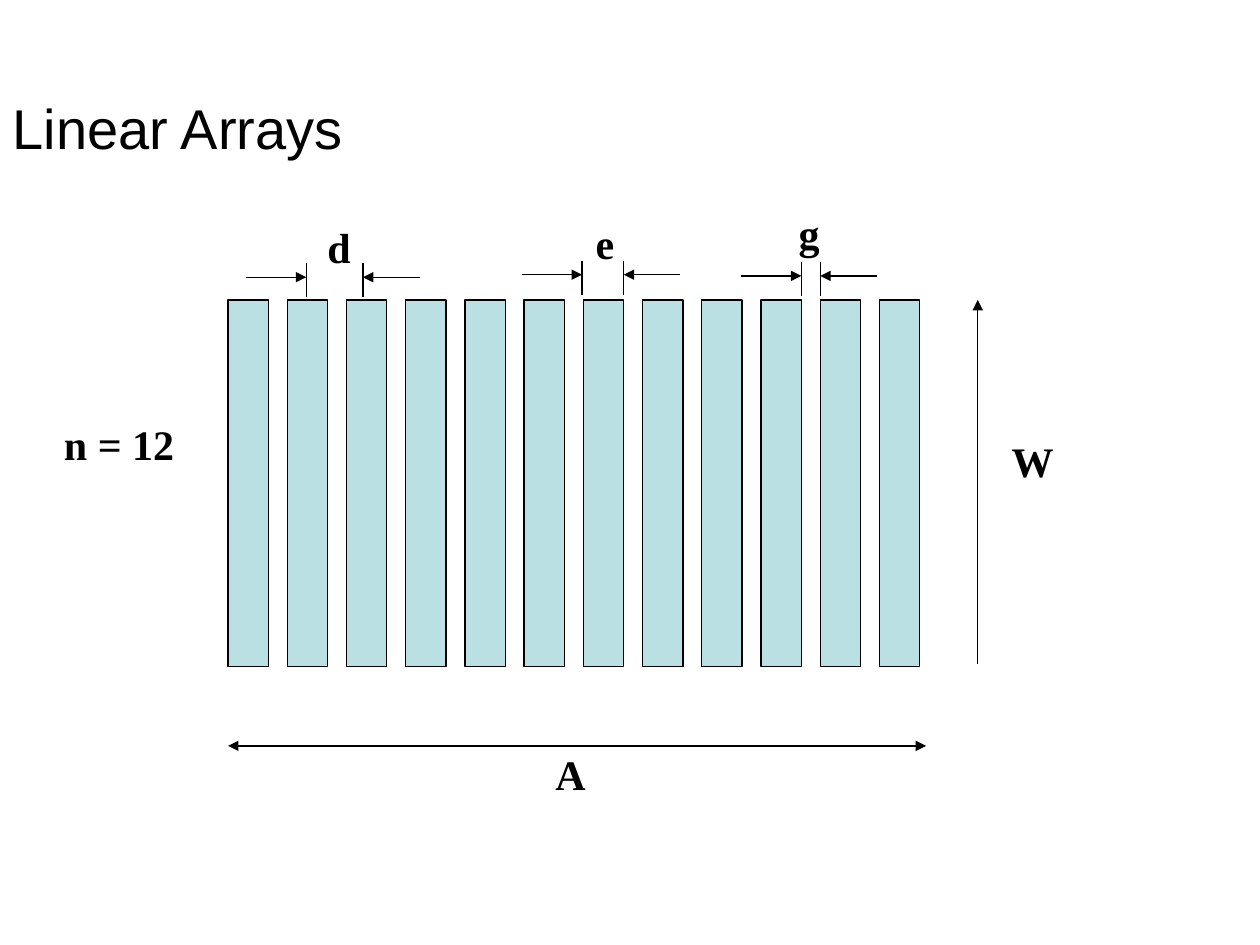
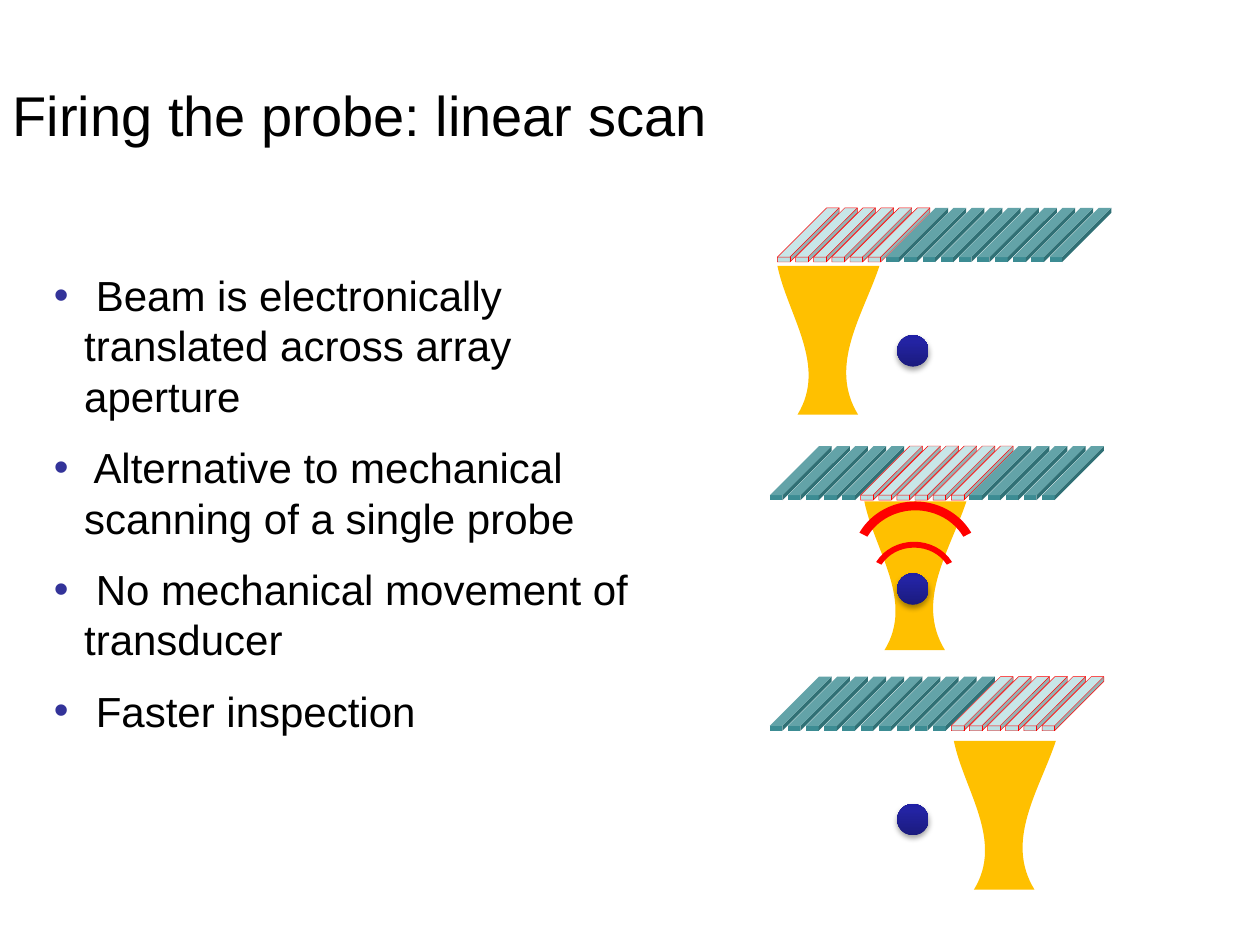
from copy import deepcopy
from dataclasses import dataclass

from lxml import etree
from pptx import Presentation
from pptx.dml.color import RGBColor
from pptx.enum.shapes import MSO_CONNECTOR, MSO_SHAPE
from pptx.enum.text import MSO_ANCHOR, MSO_AUTO_SIZE, PP_ALIGN
from pptx.oxml import parse_xml
from pptx.oxml.ns import nsdecls, qn
from pptx.util import Inches, Pt

STRAIGHT = MSO_CONNECTOR.STRAIGHT
RECTANGLE = MSO_SHAPE.RECTANGLE
CUBE = MSO_SHAPE.CUBE
BALL = MSO_SHAPE.FLOWCHART_CONNECTOR
BLOCK_ARC = MSO_SHAPE.BLOCK_ARC
MIDDLE = MSO_ANCHOR.MIDDLE
NO_AUTOFIT = MSO_AUTO_SIZE.NONE
LEFT = PP_ALIGN.LEFT
TITLE_ONLY = 5


@dataclass(frozen=True)
class Theme:
    ink: str = "000000"
    pale: str = "BBE0E3"
    teal: str = "3C8C93"
    red: str = "FF0000"
    beam: str = "FFC000"
    bullet: str = "333399"
    ball: tuple = ((0, "1B1B7E"), (0.8, "2323A3"), (1, "2020A6"))
    sans: str = "Arial"
    serif: str = "Times New Roman"
    title_size: int = 32
    text_size: int = 24
    thin: float = 0.75
    hairline: float = 0.25


THEME = Theme()


# Shared helpers
def rgb(value):
    return RGBColor.from_string(value)


def format_font(font, name, size, bold=False):
    font.name = name
    font.size = Pt(size)
    font.bold = bold
    font.color.rgb = rgb(THEME.ink)


def paint(shape, fill, line=None, width=THEME.thin):
    shape.shadow.inherit = False
    shape.fill.solid()
    shape.fill.fore_color.rgb = rgb(fill)
    if line:
        shape.line.color.rgb = rgb(line)
        shape.line.width = Pt(width)
    else:
        shape.line.fill.background()


def add_shape(page, kind, box, fill, line=None, width=THEME.thin):
    shape = page.shapes.add_shape(kind, *map(Inches, box))
    paint(shape, fill, line, width)
    return shape


def add_line(page, start, end, arrows=()):
    """Draw a line; arrows may hold headEnd (start) and tailEnd (end)."""
    line = page.shapes.add_connector(STRAIGHT, *map(Inches, (*start, *end)))
    line.line.color.rgb = rgb(THEME.ink)
    line.line.width = Pt(THEME.thin)
    outline = line.line._get_or_add_ln()
    for arrow in arrows:
        etree.SubElement(outline, qn("a:" + arrow), type="triangle")
    etree.SubElement(line._element.spPr, qn("a:effectLst"))


def add_label(page, text, left, top, width=0.54):
    label = page.shapes.add_textbox(*map(Inches, (left, top, width, 0.5)))
    label.text_frame.word_wrap = True
    label.text_frame.text = text
    format_font(label.text_frame.paragraphs[0].runs[0].font,
                THEME.serif, THEME.text_size, bold=True)


def add_page(deck, title, top):
    page = deck.slides.add_slide(deck.slide_layouts[TITLE_ONLY])
    holder = page.shapes.title
    holder.left, holder.top = Inches(0), Inches(top)
    holder.width, holder.height = Inches(8.25), Inches(1.25)
    frame = holder.text_frame
    frame.text = title
    frame.word_wrap = True
    frame.auto_size = NO_AUTOFIT
    frame.vertical_anchor = MIDDLE
    para = frame.paragraphs[0]
    para.alignment = LEFT
    format_font(para.runs[0].font, THEME.sans, THEME.title_size)
    return page


# Linear array with its dimensions
def add_elements(page, left, top, count=12, pitch=0.47, width=0.32, height=2.91):
    for index in range(count):
        add_shape(page, RECTANGLE, (left + index * pitch, top, width, height),
                  THEME.pale, THEME.ink)


def add_gap_dimension(page, left, right, y):
    for x, reach in ((left, -0.48), (right, 0.45)):
        add_line(page, (x, y + 0.16), (x, y - 0.11))
        add_line(page, (x + reach, y), (x, y), ["tailEnd"])


def build_array_page(deck):
    page = add_page(deck, "Linear Arrays", 0.38)
    left, top = 1.81, 2.38
    add_elements(page, left, top)

    # Pitch, element width and gap
    add_gap_dimension(page, 2.43, 2.88, 2.2)
    add_gap_dimension(page, 4.62, 4.95, 2.18)
    add_gap_dimension(page, 6.36, 6.51, 2.19)
    add_label(page, "d", 2.5, 1.71)
    add_label(page, "e", 4.63, 1.68)
    add_label(page, "g", 6.24, 1.6)

    # Aperture, element length and element count
    add_line(page, (left, 5.92), (7.35, 5.92), ["headEnd", "tailEnd"])
    add_label(page, "A", 4.31, 5.89)
    add_line(page, (7.76, 5.27), (7.76, top), ["tailEnd"])
    add_label(page, "W", 7.93, 3.41, 1.56)
    add_label(page, "n = 12", 0.41, 3.27, 1.13)


# Linear scan
def add_bullets(page, box, lines):
    frame = page.shapes.add_textbox(*map(Inches, box)).text_frame
    frame.word_wrap = True
    frame.text = "\n".join(lines)
    for index, para in enumerate(frame.paragraphs):
        para.space_before = Pt(12 if index else 0)
        properties = para._p.get_or_add_pPr()
        properties.set("marL", str(Inches(0.24)))
        properties.set("indent", str(-Inches(0.24)))
        color = etree.SubElement(properties, qn("a:buClr"))
        etree.SubElement(color, qn("a:srgbClr"), val=THEME.bullet)
        etree.SubElement(properties, qn("a:buFont"), typeface=THEME.sans)
        etree.SubElement(properties, qn("a:buChar"), char="•")
        format_font(para.runs[0].font, THEME.sans, THEME.text_size)


def add_probe(page, left, top, first_active, count=16, active=6):
    pitch = 2.16 / (count - 1)
    for index in range(count):
        firing = first_active <= index < first_active + active
        colors = (THEME.pale, THEME.red) if firing else (THEME.teal, None)
        cube = add_shape(page, CUBE, (left + index * pitch, top, 0.49, 0.43),
                         *colors, THEME.hairline)
        cube.adjustments[0] = 0.909


def bend(segment, controls):
    """Turn a straight freeform segment into a cubic curve."""
    segment.tag = qn("a:cubicBezTo")
    for index, (x, y) in enumerate(controls):
        point = etree.Element(qn("a:pt"), x=str(Inches(x)), y=str(Inches(y)))
        segment.insert(index, point)


def add_beam(page, left, top):
    corners = [(0.81, 0), (0.64, 1.18), (0.16, 1.18), (0, 0)]
    builder = page.shapes.build_freeform(Inches(left), Inches(top))
    builder.add_line_segments([(Inches(left + x), Inches(top + y))
                               for x, y in corners])
    beam = builder.convert_to_shape()
    paint(beam, THEME.beam)
    segments = beam._element.spPr.findall(".//" + qn("a:lnTo"))
    bend(segments[1], [(0.68, 0.39), (0.4, 0.79)])
    bend(segments[3], [(0.4, 0.79), (0.08, 0.39)])


def add_flaw(page, left, top):
    ball = add_shape(page, BALL, (left, top, 0.25, 0.25), THEME.ball[0][1])
    ball.fill.gradient()
    ball.fill.gradient_angle = 90
    stop_list = ball._element.spPr.find(".//" + qn("a:gsLst"))
    stop_list.append(deepcopy(stop_list[-1]))
    for stop, (position, color) in zip(ball.fill.gradient_stops, THEME.ball):
        stop.position = position
        stop.color.rgb = rgb(color)
    effects = ball._element.spPr.find(qn("a:effectLst"))
    effects.append(parse_xml(
        f'<a:outerShdw {nsdecls("a")} blurRad="{Pt(3.1)}" dist="{Pt(1.8)}" '
        'dir="5400000" rotWithShape="0"><a:srgbClr val="000000">'
        '<a:alpha val="35000"/></a:srgbClr></a:outerShdw>'))


def add_echo(page, box):
    arc = add_shape(page, BLOCK_ARC, box, THEME.red)
    degree = 0.6  # adjustment units in one degree
    for index, value in enumerate((207.15 * degree, 332.89 * degree, 0.074)):
        arc.adjustments[index] = value


def build_scan_page(deck):
    page = add_page(deck, "Firing the probe: linear scan", 0.28)
    add_bullets(page, (0.33, 2.09, 5.06, 3.49), [
        " Beam is electronically translated across array aperture",
        " Alternative to mechanical scanning of a single probe",
        " No mechanical movement of transducer",
        " Faster inspection",
    ])

    # Probe left and top, first firing element, beam left and top
    firings = [
        (6.17, 1.65, 0, 6.17, 2.11),
        (6.11, 3.54, 5, 6.86, 3.98),
        (6.11, 5.37, 10, 7.57, 5.88),
    ]
    for left, top, first_active, beam_left, beam_top in firings:
        add_probe(page, left, top, first_active)
        add_beam(page, beam_left, beam_top)
        add_flaw(page, 7.12, top + 1.01)

    # Echoes from the flaw
    add_echo(page, (6.76, 3.98, 1.01, 0.95))
    add_echo(page, (6.91, 4.3, 0.69, 0.63))


def main():
    deck = Presentation()
    deck.slide_width, deck.slide_height = Inches(10), Inches(7.5)
    build_array_page(deck)
    build_scan_page(deck)
    deck.save("out.pptx")


if __name__ == "__main__":
    main()
